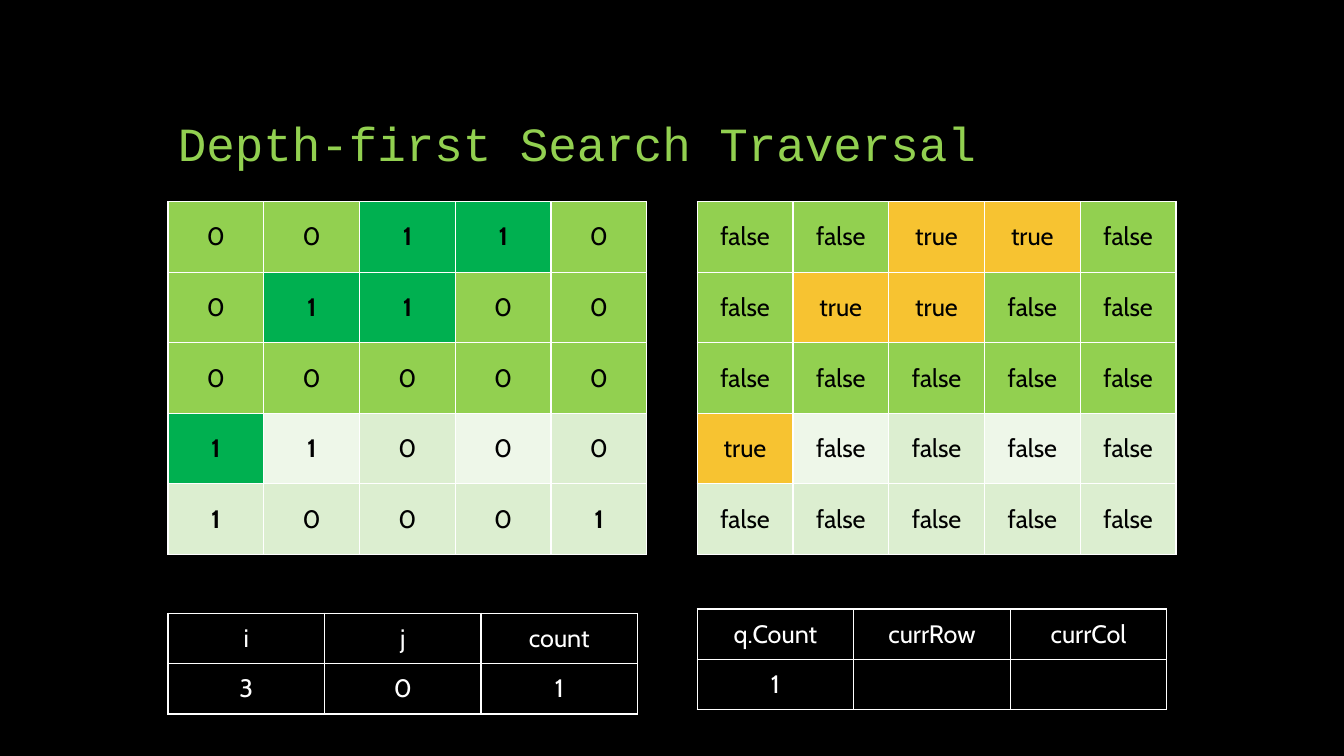
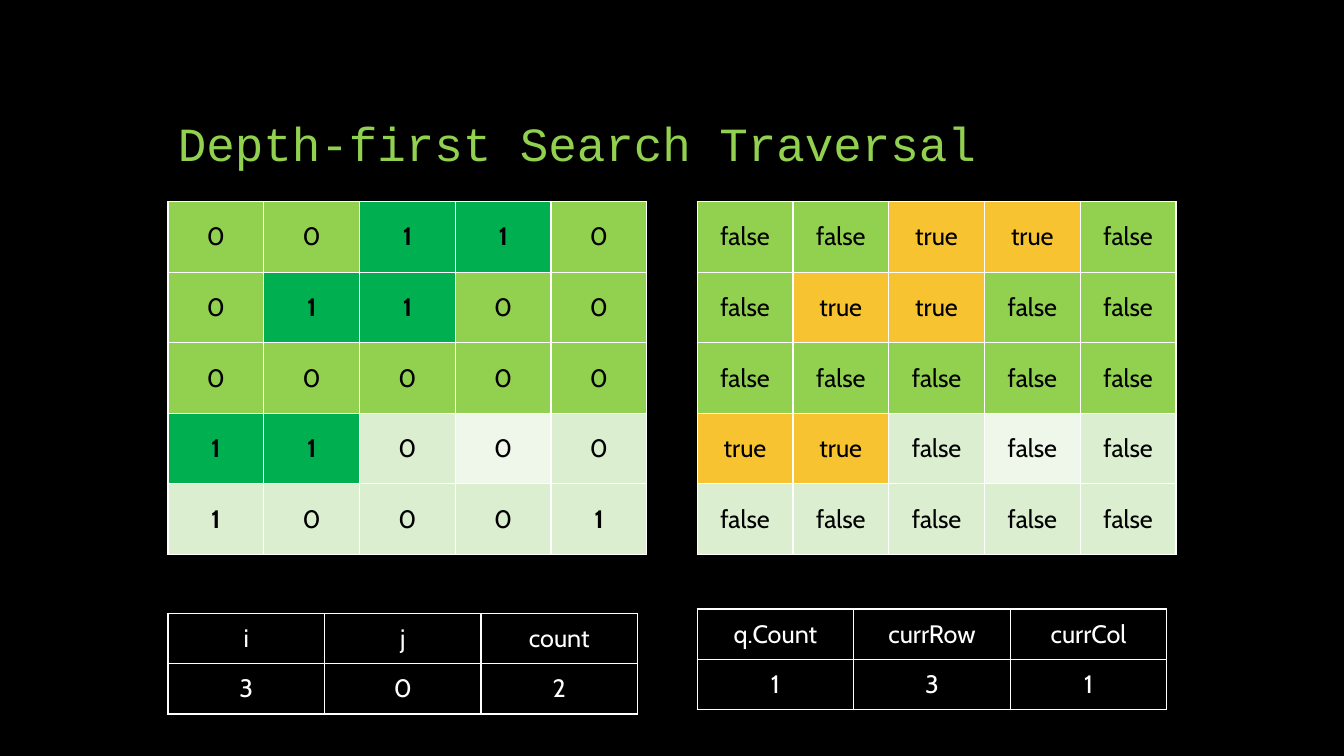
from dataclasses import dataclass
from pptx import Presentation
from pptx import util as u
from pptx.dml import color
from pptx.enum import text
from pptx.oxml import ns
from lxml import etree

COLS, ROWS = 160, 90
LEFT, RIGHT = 20, 83
BLACK, WHITE = "000000", "FFFFFF"
LIME, GREEN, GOLD = "92D050", "00B050", "F7C331"
MINT, PALE = "DCEED0", "EEF7E9"
TITLE = "Depth-first Search Traversal"
LAND = ["00110", "01100", "00000", "11000", "10001"]
DONE = 3
BANDS = {(3, 1), (3, 3)}
START = frozenset({(0, 2), (0, 3), (1, 1), (1, 2), (3, 0)})


@dataclass
class Cell:
    label: str
    ink: str = WHITE
    fill: str = ""
    bold: bool = False


@dataclass
class Step:
    seen: frozenset[tuple[int, int]]
    scan: list[str]
    queue: list[str]


STEPS = [
    Step(START, ["3", "0", "1"], ["1", "", ""]),
    Step(START | {(3, 1)}, ["3", "0", "2"], ["1", "3", "1"]),
]


def unit(count: float) -> int:
    return u.Inches(count / 12)


def rgb(code: str) -> color.RGBColor:
    return color.RGBColor.from_string(code)


def style(para, face: str, size: int, ink: str, bold: bool = False) -> None:
    para.font.name = face
    para.font.size = u.Pt(size)
    para.font.color.rgb = rgb(ink)
    para.font.bold = bold


def edge(cell) -> None:
    props = cell._tc.get_or_add_tcPr()
    for side in ("lnL", "lnR", "lnT", "lnB"):
        line = etree.SubElement(props, ns.qn(f"a:{side}"), w=str(u.Pt(1)))
        fill = etree.SubElement(line, ns.qn("a:solidFill"))
        etree.SubElement(fill, ns.qn("a:srgbClr"), val=WHITE)


def paint(cell, data: Cell) -> None:
    edge(cell)
    if data.fill:
        cell.fill.solid()
        cell.fill.fore_color.rgb = rgb(data.fill)
    else:
        cell.fill.background()
    cell.vertical_anchor = text.MSO_ANCHOR.MIDDLE
    cell.text = data.label
    para = cell.text_frame.paragraphs[0]
    para.alignment = text.PP_ALIGN.CENTER
    style(para, "Cabin", 18, data.ink, data.bold)


def table(slide, left: float, top: float, wide: float, high: float,
          cells: list[list[Cell]]) -> None:
    rows, cols = len(cells), len(cells[0])
    grid = slide.shapes.add_table(rows, cols, unit(left), unit(top),
                                  unit(wide), unit(high)).table
    grid.first_row = grid.horz_banding = False
    for row, line in enumerate(cells):
        for col, data in enumerate(line):
            paint(grid.cell(row, col), data)


def shade(spot: tuple[int, int], seen: frozenset[tuple[int, int]], mark: str) -> str:
    if spot in seen:
        return mark
    if spot[0] < DONE:
        return LIME
    return PALE if spot in BANDS else MINT


def head(slide) -> None:
    box = slide.shapes.add_textbox(unit(LEFT), unit(6), unit(COLS * 0.75), unit(15))
    frame = box.text_frame
    frame.word_wrap = True
    frame.vertical_anchor = text.MSO_ANCHOR.BOTTOM
    para = frame.paragraphs[0]
    para.text = TITLE
    para.line_spacing = 0.9
    style(para, "Courier New", 34, LIME)


def draw(slide, step: Step) -> None:
    head(slide)
    bits, flags = [], []
    for row, line in enumerate(LAND):
        spots = [(row, col) for col in range(len(line))]
        bits.append([Cell(bit, BLACK, shade(spot, step.seen, GREEN), bit == "1")
                     for spot, bit in zip(spots, line)])
        flags.append([Cell("true" if spot in step.seen else "false", BLACK,
                           shade(spot, step.seen, GOLD)) for spot in spots])
    for left, cells in ((LEFT, bits), (RIGHT, flags)):
        table(slide, left, 24, 57, 42, cells)
    for left, top, names, vals in (
        (LEFT, 73, ["i", "j", "count"], step.scan),
        (RIGHT, 72.5, ["q.Count", "currRow", "currCol"], step.queue),
    ):
        table(slide, left, top, 55.9, 12,
              [[Cell(label) for label in line] for line in (names, vals)])


def main() -> None:
    deck = Presentation()
    deck.slide_width, deck.slide_height = unit(COLS), unit(ROWS)
    back = deck.slide_master.background.fill
    back.solid()
    back.fore_color.rgb = rgb(BLACK)
    for step in STEPS:
        draw(deck.slides.add_slide(deck.slide_layouts[6]), step)
    deck.save("out.pptx")


if __name__ == "__main__":
    main()
